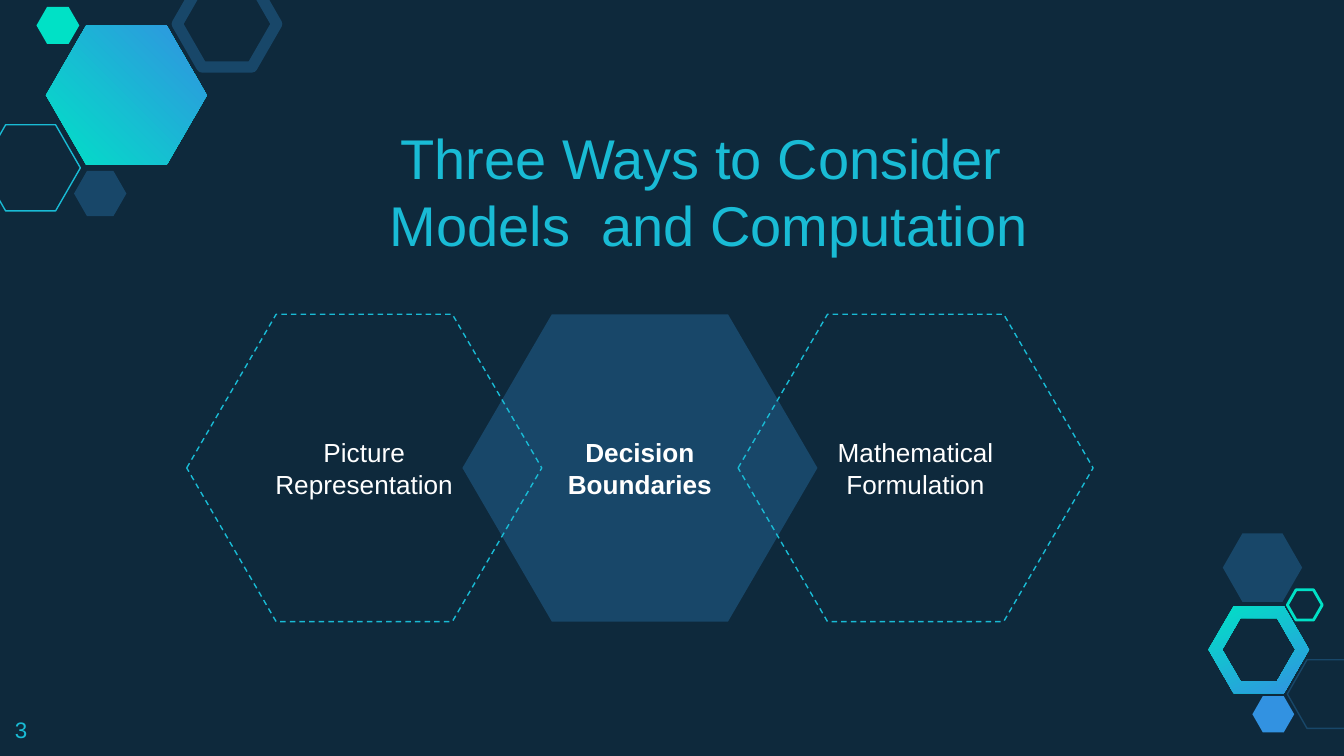
from math import cos, pi, sin

from pptx import Presentation
from pptx.dml.color import RGBColor
from pptx.enum.dml import MSO_LINE
from pptx.enum.shapes import MSO_SHAPE
from pptx.enum.text import MSO_ANCHOR, PP_ALIGN
from pptx.util import Cm, Pt

NIGHT = RGBColor(0x0E, 0x29, 0x3C)
NAVY = RGBColor(0x18, 0x47, 0x69)
CYAN = RGBColor(0x19, 0xBB, 0xD5)
MINT = RGBColor(0x00, 0xE1, 0xC6)
BLUE = RGBColor(0x32, 0x92, 0xE1)
WHITE = RGBColor(0xFF, 0xFF, 0xFF)

# left, top, width, fill, line colour, line width
CORNER_HEXAGONS = [
    (-0.36, 2.36, 1.88, None, CYAN, 0.75),
    (1.40, 3.23, 0.99, NAVY, None, 0),
    (3.35, -0.36, 1.88, None, NAVY, 6),
    (0.69, 0.13, 0.81, MINT, None, 0),
    (24.33, 12.47, 1.50, None, NAVY, 0.75),
    (23.67, 13.16, 0.79, BLUE, None, 0),
    (23.11, 10.08, 1.50, NAVY, None, 0),
    (24.33, 11.15, 0.66, None, MINT, 1.5),
]
WAY_LEFT, WAY_STEP, WAY_TOP, WAY_WIDTH = 3.53, 5.21, 5.94, 6.71


def hexagon_points(x, y, radius):
    return [(Cm(x + radius * cos(k * pi / 3)), Cm(y + radius * sin(k * pi / 3)))
            for k in range(6)]


class HexagonSlide:
    font = "Arial"
    inset = Cm(0.25)

    def __init__(self, slide):
        self.slide = slide
        slide.background.fill.solid()
        slide.background.fill.fore_color.rgb = NIGHT

    def hexagon(self, left, top, width, fill=None, line=None, line_width=0,
                adjust=0.287):
        """Add a regular hexagon; its height follows from its width."""
        shape = self.slide.shapes.add_shape(
            MSO_SHAPE.HEXAGON, Cm(left), Cm(top), Cm(width), Cm(width * sin(pi / 3)))
        shape.adjustments[0] = adjust
        shape.shadow.inherit = False
        if fill is None:
            shape.fill.background()
        else:
            shape.fill.solid()
            shape.fill.fore_color.rgb = fill
        if line is None:
            shape.line.fill.background()
        else:
            shape.line.color.rgb = line
            shape.line.width = Pt(line_width)
        return shape

    def gradient_hexagon(self, x, y, radius, angle, hole=None):
        """Add a mint-to-blue hexagon around (x, y), optionally with a hole."""
        outline = hexagon_points(x, y, radius)
        builder = self.slide.shapes.build_freeform(*outline[0])
        builder.add_line_segments(outline[1:])
        if hole:
            inner = hexagon_points(x, y, hole)[::-1]
            builder.move_to(*inner[0])
            builder.add_line_segments(inner[1:])
        shape = builder.convert_to_shape()
        shape.shadow.inherit = False
        shape.line.fill.background()
        shape.fill.gradient()
        shape.fill.gradient_angle = angle
        for stop, color in zip(shape.fill.gradient_stops, (MINT, BLUE)):
            stop.color.rgb = color

    def fill_frame(self, frame, lines, size, color, align, anchor, bold=False):
        frame.word_wrap = True
        frame.vertical_anchor = anchor
        frame.margin_left = frame.margin_right = self.inset
        frame.margin_top = frame.margin_bottom = self.inset
        for index, line in enumerate(lines):
            paragraph = frame.add_paragraph() if index else frame.paragraphs[0]
            paragraph.alignment = align
            run = paragraph.add_run()
            run.text = line
            run.font.name = self.font
            run.font.size = Pt(size)
            run.font.bold = bold
            run.font.color.rgb = color

    def way(self, column, label, main=False):
        """Add one of the three overlapping labelled hexagons."""
        look = {"fill": NAVY} if main else {"line": CYAN, "line_width": 0.75}
        shape = self.hexagon(WAY_LEFT + column * WAY_STEP, WAY_TOP, WAY_WIDTH,
                             adjust=0.291, **look)
        if not main:
            shape.line.dash_style = MSO_LINE.DASH
        self.fill_frame(shape.text_frame, [label], 14, WHITE,
                        PP_ALIGN.CENTER, MSO_ANCHOR.MIDDLE, main)

    def text(self, left, top, width, height, lines, size, align, anchor):
        box = self.slide.shapes.add_textbox(Cm(left), Cm(top), Cm(width), Cm(height))
        self.fill_frame(box.text_frame, lines, size, CYAN, align, anchor)


def main():
    deck = Presentation()
    deck.slide_width, deck.slide_height = Cm(25.4), Cm(14.29)
    page = HexagonSlide(deck.slides.add_slide(deck.slide_layouts[6]))

    page.gradient_hexagon(23.79, 12.28, 0.95, angle=296, hole=0.69)
    page.gradient_hexagon(2.39, 1.80, 1.52, angle=45)
    for corner_hexagon in CORNER_HEXAGONS:
        page.hexagon(*corner_hexagon)

    page.way(1, "Decision Boundaries", main=True)
    page.text(4.42, 3.33, 17.96, 1.80,
              ["Three Ways to Consider ", "Models  and Computation"],
              30, PP_ALIGN.CENTER, MSO_ANCHOR.BOTTOM)
    page.way(0, "Picture Representation")
    page.way(2, "Mathematical Formulation")
    page.text(0.03, 13.28, 1.52, 0.99, ["3"], 12, PP_ALIGN.LEFT, MSO_ANCHOR.TOP)

    deck.save("out.pptx")


if __name__ == "__main__":
    main()
